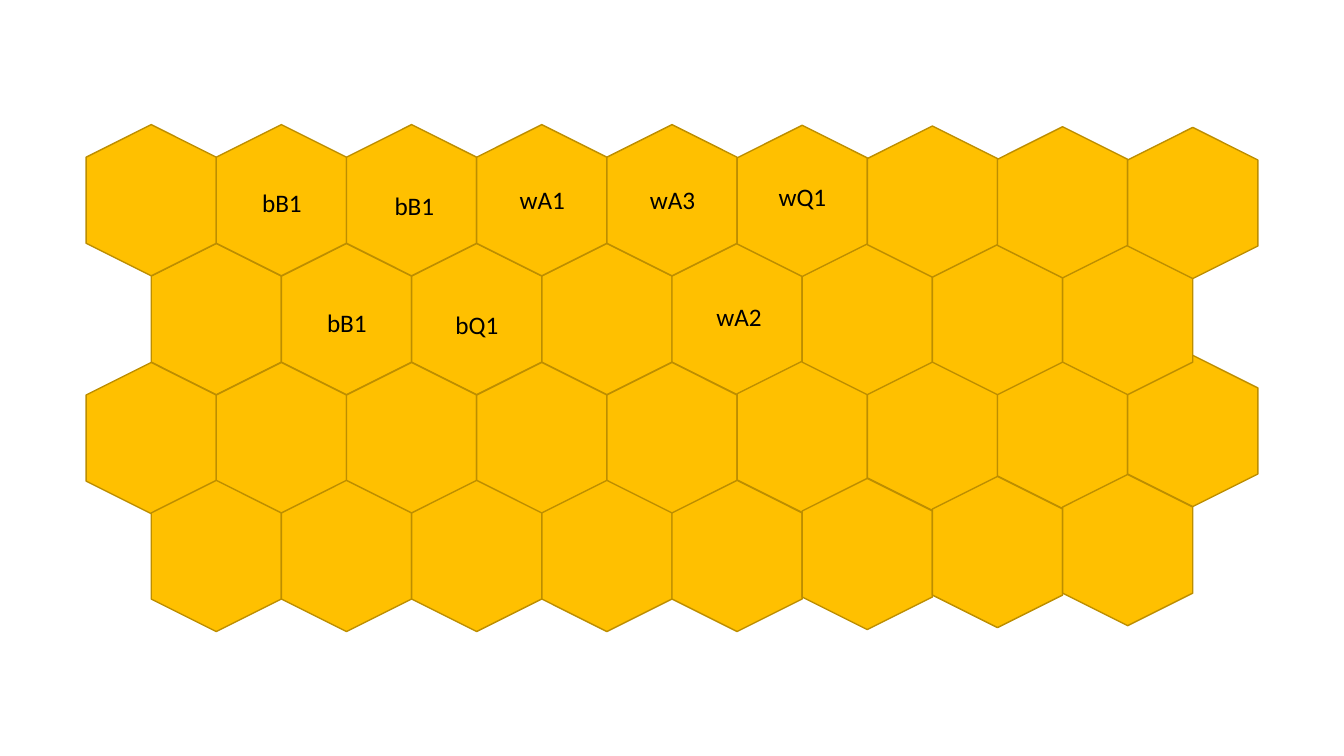
from pptx import Presentation
from pptx.dml.color import RGBColor
from pptx.enum.shapes import MSO_SHAPE
from pptx.enum.text import MSO_AUTO_SIZE, PP_ALIGN
from pptx.util import Pt

CELL_LENGTH, CELL_WIDTH = 108, 93
EVEN_LEFT, ODD_LEFT = 54, 100.5

# Runs of cells from back to front: row left, first column, count, top, drift per cell
CELL_RUNS = [
    (ODD_LEFT, 0, 5, 181.4, 0),
    (EVEN_LEFT, 0, 5, 96.5, 0),
    (EVEN_LEFT, 0, 5, 266.4, 0),
    (ODD_LEFT, 0, 5, 350.6, 0),
    (EVEN_LEFT, 5, 4, 265.5, -1.4),
    (ODD_LEFT, 5, 3, 181.4, 0),
    (EVEN_LEFT, 5, 4, 97, 0.5),
    (ODD_LEFT, 5, 3, 349.2, -1.4),
]

# Piece name, left, top
BOARD_PIECES = [
    ("wA1", 347, 128.2), ("wA3", 440, 128.2),
    ("bB1", 161, 130.3), ("wA2", 487.5, 211.7),
]
LOOSE_PIECES = [
    ("bB1", 207.4, 216), ("bB1", 255.6, 132.5),
    ("wQ1", 532.8, 126), ("bQ1", 300.3, 217.4),
]


def color(code):
    """Turn a hex string into a colour."""
    return RGBColor.from_string(code)


def add_piece(shapes, name, left, top):
    """Add the centred label of one game piece."""
    box = shapes.add_textbox(Pt(left), Pt(top), Pt(80.8), Pt(29))
    frame = box.text_frame
    frame.word_wrap = True
    frame.auto_size = MSO_AUTO_SIZE.SHAPE_TO_FIT_TEXT
    frame.text = name
    para = frame.paragraphs[0]
    para.alignment = PP_ALIGN.CENTER
    font = para.runs[0].font
    font.name = "Calibri"
    font.size = Pt(18)
    font.color.rgb = color("000000")


deck = Presentation()
deck.slide_width, deck.slide_height = Pt(960), Pt(540)
page = deck.slides.add_slide(deck.slide_layouts[6])
board = page.shapes.add_group_shape()

for row_left, first, count, top, drift in CELL_RUNS:
    for step in range(count):
        cell = board.shapes.add_shape(
            MSO_SHAPE.HEXAGON,
            Pt(row_left + (first + step) * CELL_WIDTH), Pt(top + step * drift),
            Pt(CELL_LENGTH), Pt(CELL_WIDTH))
        cell.rotation = 270
        cell.shadow.inherit = False
        cell.fill.solid()
        cell.fill.fore_color.rgb = color("FFC000")
        cell.line.color.rgb = color("BD8E00")
        cell.line.width = Pt(1)

for shapes, pieces in ((board.shapes, BOARD_PIECES), (page.shapes, LOOSE_PIECES)):
    for name, left, top in pieces:
        add_piece(shapes, name, left, top)

deck.save("out.pptx")
